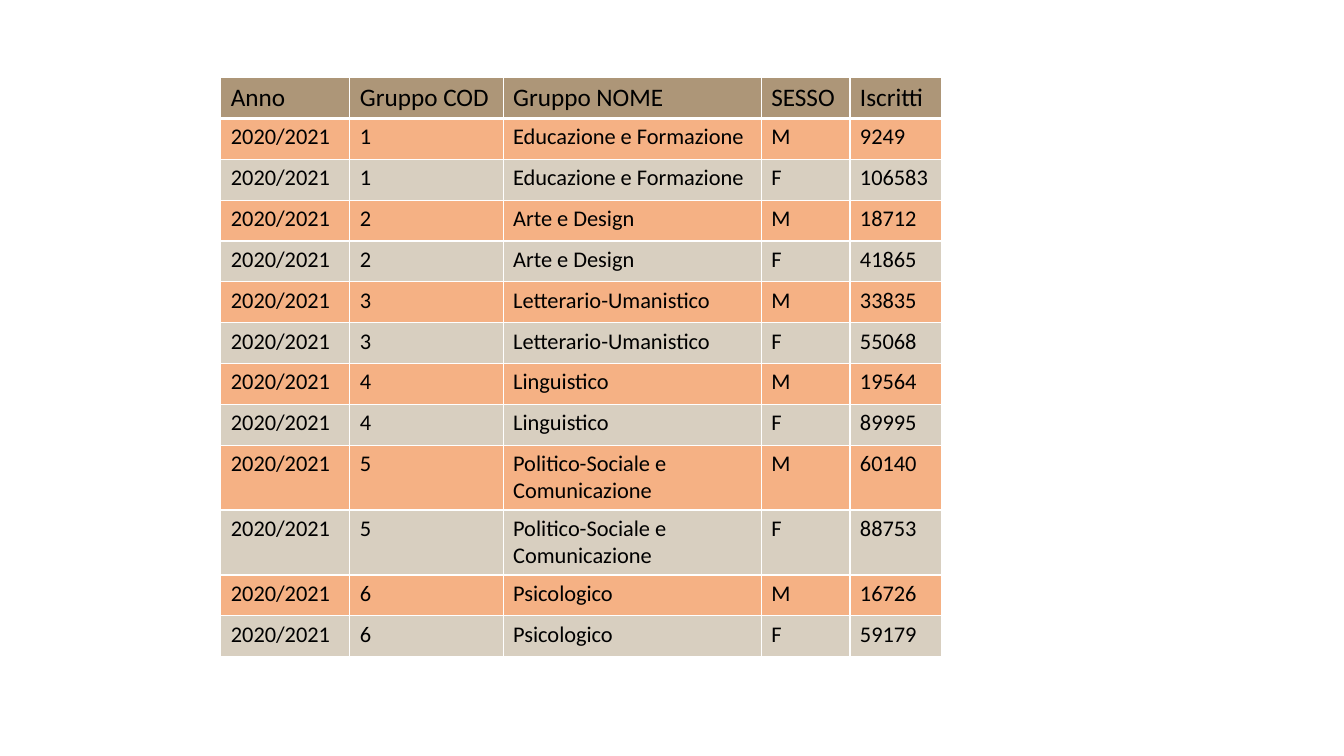
from lxml.etree import SubElement
from pptx import Presentation
from pptx.dml.color import RGBColor
from pptx.oxml.ns import qn
from pptx.util import Inches, Pt

# Content
YEAR = "2020/2021"
HEADINGS = ["Anno", "Gruppo COD", "Gruppo NOME", "SESSO", "Iscritti"]
GROUPS = [  # name, enrolled men, enrolled women
    ("Educazione e Formazione", 9249, 106583),
    ("Arte e Design", 18712, 41865),
    ("Letterario-Umanistico", 33835, 55068),
    ("Linguistico", 19564, 89995),
    ("Politico-Sociale e Comunicazione", 60140, 88753),
    ("Psicologico", 16726, 59179),
]

# Style
FONT = "Calibri"
BLACK, WHITE = "000000", "FFFFFF"
HEADER_FILL, MEN_FILL, WOMEN_FILL = "AD9678", "F5B184", "D8CFC0"
COLUMN_WIDTHS = [1.28, 1.52, 2.56, 0.88, 0.91]
LEFT, TOP, HEIGHT = 2.19, 0.77, 5.27
HEADER_BORDERS = {"lnL": 1, "lnR": 1, "lnT": 1, "lnB": 3}


def color(value):
    return RGBColor.from_string(value)


def write_cell(cell, text, size, fill):
    cell.fill.solid()
    cell.fill.fore_color.rgb = color(fill)
    run = cell.text_frame.paragraphs[0].add_run()
    run.text = text
    run.font.name = FONT
    run.font.size = Pt(size)
    run.font.bold = False
    run.font.color.rgb = color(BLACK)


def add_borders(cell, borders):
    properties = cell._tc.get_or_add_tcPr()
    for position, (side, width) in enumerate(borders.items()):
        line = SubElement(properties, qn(f"a:{side}"), w=str(Pt(width)))
        solid_fill = SubElement(line, qn("a:solidFill"))
        SubElement(solid_fill, qn("a:srgbClr"), val=WHITE)
        properties.insert(position, line)  # borders come before the fill


def main():
    presentation = Presentation()
    presentation.slide_width = Inches(13.33)
    presentation.slide_height = Inches(7.5)
    slide = presentation.slides.add_slide(presentation.slide_layouts[6])

    # One row for each group and sex
    rows = [
        (YEAR, str(code), name, sex, str(enrolled))
        for code, (name, men, women) in enumerate(GROUPS, start=1)
        for sex, enrolled in (("M", men), ("F", women))
    ]

    # Table frame and columns
    table = slide.shapes.add_table(
        len(rows) + 1, len(HEADINGS), Inches(LEFT), Inches(TOP),
        Inches(sum(COLUMN_WIDTHS)), Inches(HEIGHT),
    ).table
    for column, width in zip(table.columns, COLUMN_WIDTHS):
        column.width = Inches(width)

    # Header
    for cell, heading in zip(table.rows[0].cells, HEADINGS):
        write_cell(cell, heading, 18, HEADER_FILL)
        add_borders(cell, HEADER_BORDERS)

    # Enrolment rows
    for row_index, values in enumerate(rows, start=1):
        fill = MEN_FILL if values[3] == "M" else WOMEN_FILL
        for cell, value in zip(table.rows[row_index].cells, values):
            write_cell(cell, value, 16, fill)

    presentation.save("out.pptx")


if __name__ == "__main__":
    main()
